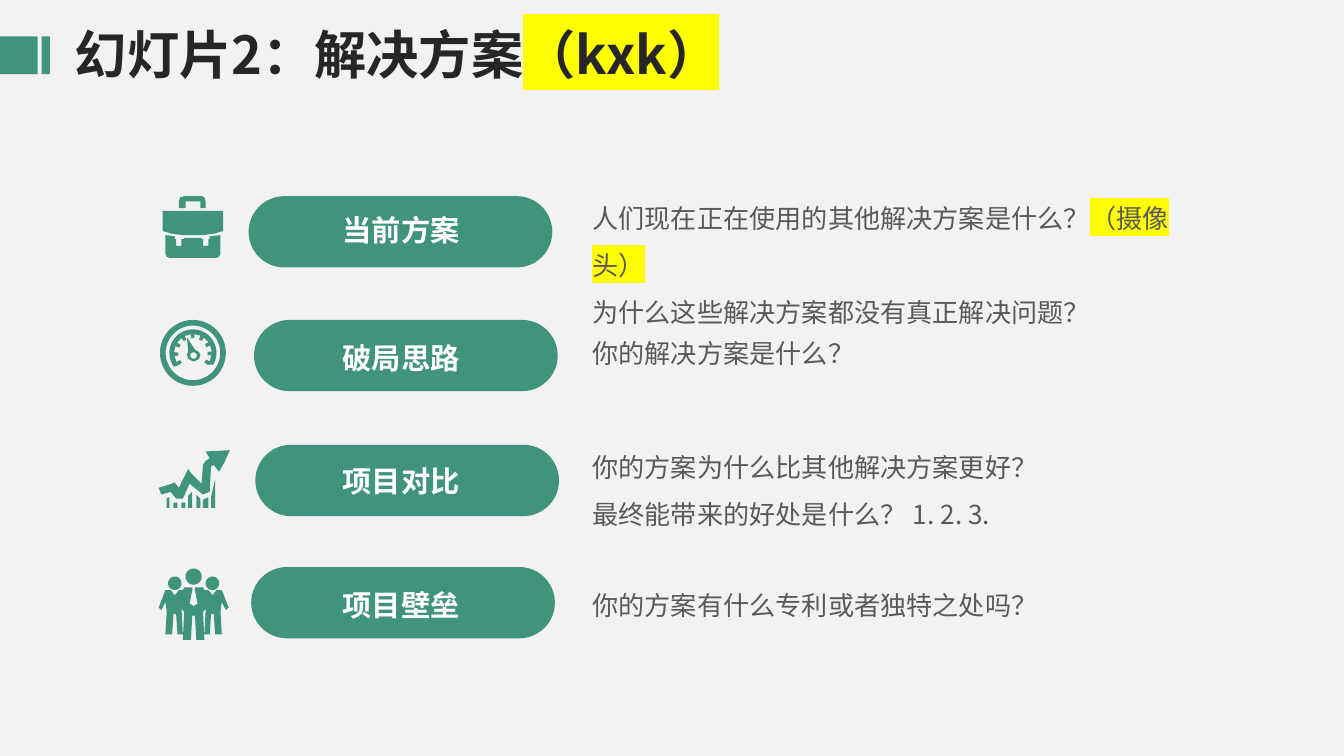
from math import cos, radians, sin

from pptx import Presentation
from pptx.dml.color import RGBColor
from pptx.enum import shapes, text
from pptx.oxml import ns, xmlchemy
from pptx.util import Pt

FONT = "Noto Sans CJK SC"
INK = {"back": "F2F2F2", "green": "40937D", "title": "262626",
       "body": "595959", "white": "FFFFFF", "mark": "FFFF00"}

# Content: a paragraph is a list of (words, marked) runs
TITLE = [[("幻灯片2：解决方案", False), ("（kxk）", True)]]
ROWS = [
    dict(label="当前方案", pill=(133.2, 105.1), name=110.2, icon=105.1, note=96.5, gap=1.5,
         body=[[("人们现在正在使用的其他解决方案是什么？", False), ("（摄像头）", True)],
               [("为什么这些解决方案都没有真正解决问题？", False)]]),
    dict(label="破局思路", pill=(136.1, 171.4), name=178.6, icon=171.4, note=177.1, gap=1,
         body=[[("你的解决方案是什么？", False)]]),
    dict(label="项目对比", pill=(136.8, 238.3), name=244.8, icon=241.2, note=229.7, gap=1.5,
         body=[[("你的方案为什么比其他解决方案更好？", False)],
               [("最终能带来的好处是什么？ 1. 2. 3.", False)]]),
    dict(label="项目壁垒", pill=(134.6, 303.8), name=311, icon=304.6, note=312.5, gap=1,
         body=[[("你的方案有什么专利或者独特之处吗？", False)]]),
]
BARS = [(0, 20.2), (22.3, 4.4)]
UNIT = 0.72        # points per icon grid step
ICON_X = 85


# Icon outlines on the icon grid
def arc(x, y, r, first=0, last=360, step=6):
    return [(x + r * cos(radians(a)), y + r * sin(radians(a)))
            for a in range(first, last + 1, step)]


def dial(x, y):
    """Ring open at the foot, with nine teeth on its inner edge."""
    inner = []
    for mid in range(145, 394, 31):
        for turn, r in ((-6, 14), (-6, 11), (6, 11), (6, 14)):
            inner += arc(x, y, r, mid + turn, mid + turn)
    return arc(x, y, 17.5, 144, 390) + inner[::-1]


def mirror(half, width):
    return half + [(width - x, y) for x, y in reversed(half)]


case = [
    mirror([(5, 29), (5, 43), (6, 45), (8, 46)], 51)
    + [(38, 30), (38, 32), (37, 32), (37, 37), (33, 37), (33, 32), (32, 32), (32, 31),
       (19, 31), (19, 32), (17, 32), (17, 37), (13, 37), (13, 32), (12, 32), (12, 30)],
    mirror([(3, 11), (3, 26), (10, 28), (18, 29)], 51),
    mirror([(20, 4), (20, 9), (15, 9), (15, 4), (16, 1), (19, 0)], 51)
    [:6] + [(32, 0), (34, 1), (35, 4), (35, 9), (31, 9), (31, 4)],
]
gauge = [
    arc(25.5, 24.5, 24.5), arc(25.5, 24.5, 20.3), dial(25.5, 24.5),
    [(22, 23), (21, 13), (27, 22), (30, 24), (31, 26), (30, 29), (26, 31), (22, 29), (21, 26)],
    arc(26, 26.5, 2.4),
]
# Chart columns: left, right, top left, top right
COLS = [(6, 8, 36, 35), (11, 14, 39, 39), (17, 20, 39, 39), (22, 25, 34, 31),
        (28, 31, 33, 36), (33, 37, 37, 35), (39, 42, 35, 22)]
chart = [[(53, 0), (49, 9), (45, 16), (41, 11), (39, 12), (38, 31), (33, 33), (23, 25),
          (18, 36), (13, 36), (9, 31), (2, 33), (0, 28), (10, 25), (12, 24), (15, 28),
          (20, 18), (22, 14), (24, 17), (32, 25), (33, 11), (35, 8), (38, 6), (35, 1)]]
chart += [[(l, 43), (l, a), (r, b), (r, 43)] for l, r, a, b in COLS]
team = [
    arc(26, 6, 6), arc(12, 11, 5), arc(40, 11, 5),
    mirror([(26, 28), (23, 26), (25, 16), (25, 14), (19, 14), (18, 16), (15, 16), (12, 20),
            (9, 16), (5, 16), (0, 29), (2, 31), (5, 25), (6, 32), (5, 49), (10, 49),
            (11, 34), (13, 34), (14, 49), (18, 49), (17, 30), (19, 32), (18, 53),
            (24, 53), (25, 35)], 52),
]
ICONS = [case, gauge, chart, team]


# Drawing helpers
def hue(name):
    return RGBColor.from_string(INK[name])


def paint(shape):
    shape.shadow.inherit = False
    shape.fill.solid()
    shape.fill.fore_color.rgb = hue("green")
    shape.line.fill.background()


def block(kind, x, y, w, h):
    shape = slide.shapes.add_shape(kind, Pt(x), Pt(y), Pt(w), Pt(h))
    paint(shape)
    return shape


def draw(loops, x, y):
    loops = [[(Pt(x + UNIT * a), Pt(y + UNIT * b)) for a, b in loop] for loop in loops]
    pen = slide.shapes.build_freeform(*loops[0][0])
    for i, loop in enumerate(loops):
        if i:
            pen.move_to(*loop[0])
        pen.add_line_segments(loop[1:], close=True)
    paint(pen.convert_to_shape())


def write(paras, x, y, w, h, size=14, ink="body", bold=False, wrap=True, gap=1):
    frame = slide.shapes.add_textbox(Pt(x), Pt(y), Pt(w), Pt(h)).text_frame
    frame.word_wrap = wrap
    frame.auto_size = text.MSO_AUTO_SIZE.SHAPE_TO_FIT_TEXT
    for i, runs in enumerate(paras):
        para = frame.add_paragraph() if i else frame.paragraphs[0]
        para.line_spacing = gap
        for words, marked in runs:
            run = para.add_run()
            run.text = words
            font = run.font
            font.size, font.bold, font.name = Pt(size), bold, FONT
            font.color.rgb = hue(ink)
            props = run._r.get_or_add_rPr()
            latin = props.find(ns.qn("a:latin"))
            east = xmlchemy.OxmlElement("a:ea")
            east.set("typeface", FONT)
            latin.addnext(east)
            if marked:
                mark = xmlchemy.OxmlElement("a:highlight")
                tint = xmlchemy.OxmlElement("a:srgbClr")
                tint.set("val", INK["mark"])
                mark.append(tint)
                latin.addprevious(mark)


# Slide
deck = Presentation()
deck.slide_width, deck.slide_height = Pt(720), Pt(405)
slide = deck.slides.add_slide(deck.slide_layouts[6])
slide.background.fill.solid()
slide.background.fill.fore_color.rgb = hue("back")

# Heading
for x, w in BARS:
    block(shapes.MSO_SHAPE.RECTANGLE, x, 19.5, w, 20.2)
write(TITLE, 33.1, 8.6, 362.9, 41, size=28, ink="title", bold=True)

# Rows
for row, icon in zip(ROWS, ICONS):
    pill = block(shapes.MSO_SHAPE.ROUNDED_RECTANGLE, *row["pill"], 162.7, 38.2)
    pill.adjustments[0] = 0.5
    draw(icon, ICON_X, row["icon"])
    write([[(row["label"], False)]], 176.4, row["name"], 78.5, 26.6,
          size=15.7, ink="white", bold=True, wrap=False)
    write(row["body"], 310.3, row["note"], 339.8, 24.5 if row["gap"] == 1 else 55.4,
          gap=row["gap"])

deck.save("out.pptx")
